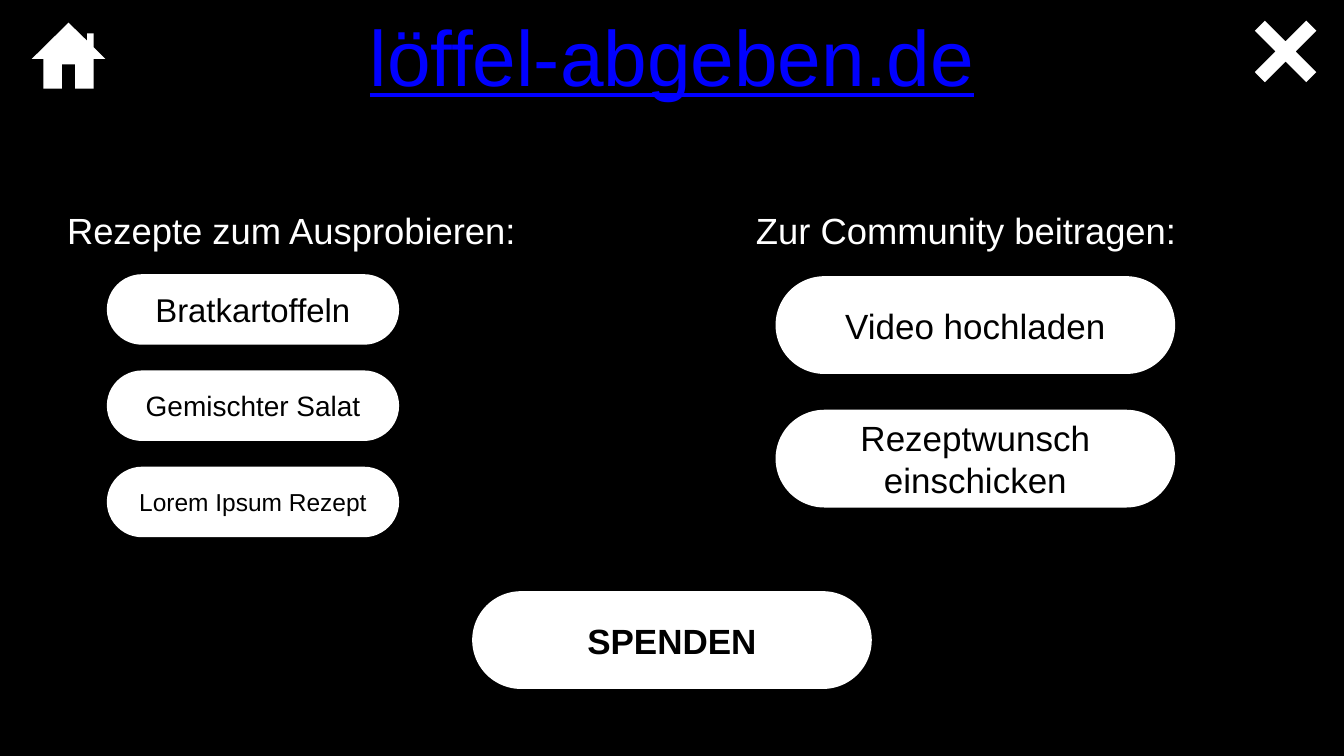
"""Build a dark start page with recipe and community buttons."""
from lxml import etree
from pptx import Presentation
from pptx.dml.color import RGBColor
from pptx.enum import shapes, text
from pptx.oxml import ns
from pptx.util import Inches, Pt

HOUSE = [(1.36, 0.45), (0.63, 1.17), (0.86, 1.17), (0.86, 1.76),
         (1.23, 1.76), (1.23, 1.28), (1.49, 1.28), (1.49, 1.76),
         (1.86, 1.76), (1.86, 1.17), (2.09, 1.17), (1.86, 0.94),
         (1.86, 0.66), (1.73, 0.66), (1.73, 0.81)]
FOODS = [("Bratkartoffeln", 47), ("Gemischter Salat", 40),
         ("Lorem Ipsum Rezept", 35)]
TASKS = ["Video hochladen", "Rezeptwunsch einschicken"]


def paint(fill, color):
    """Make a fill solid in a hex colour."""
    fill.solid()
    fill.fore_color.rgb = RGBColor.from_string(color)


def write(shape, words, size, color, align=text.PP_ALIGN.CENTER):
    """Put one vertically centred line of text into a shape."""
    frame = shape.text_frame
    frame.text = words
    frame.word_wrap = True
    frame.auto_size = text.MSO_AUTO_SIZE.NONE
    frame.vertical_anchor = text.MSO_ANCHOR.MIDDLE
    frame.margin_left = frame.margin_right = Inches(0.06)
    frame.margin_top = frame.margin_bottom = Inches(0.06)
    para = frame.paragraphs[0]
    para.alignment = align
    para.font.name = "Arial"
    para.font.size = Pt(size)
    paint(para.font.fill, color)
    return para


def place(shape, left, top, width, height):
    """Move and size a shape."""
    shape.left, shape.top = Inches(left), Inches(top)
    shape.width, shape.height = Inches(width), Inches(height)


def head(shape, left, words):
    """Format a body placeholder as a column heading without bullet."""
    place(shape, left, 3.19, 11.18, 2.74)
    para = write(shape, words, 52, "FFFFFF", text.PP_ALIGN.LEFT)
    para.space_before = Pt(45)
    props = para._p.get_or_add_pPr()
    props.set("marL", "0")
    props.set("indent", "0")
    bullet = etree.Element(ns.qn("a:buNone"))
    props.find(ns.qn("a:defRPr")).addprevious(bullet)


def plain(shape):
    """Give a shape a white fill without line or shadow."""
    paint(shape.fill, "FFFFFF")
    shape.line.fill.background()
    shape.shadow.inherit = False


def pill(slide, left, top, width, height, words, size):
    """Add a fully rounded button."""
    kind = shapes.MSO_SHAPE.ROUNDED_RECTANGLE
    shape = slide.shapes.add_shape(kind, 0, 0, 0, 0)
    place(shape, left, top, width, height)
    shape.adjustments[0] = 0.5
    plain(shape)
    return write(shape, words, size, "000000")


def icon(slide, points):
    """Add a white polygon."""
    spots = [(Inches(x), Inches(y)) for x, y in points]
    form = slide.shapes.build_freeform(*spots[0])
    form.add_line_segments(spots[1:])
    plain(form.convert_to_shape())


def cross(x, y, half, arm):
    """Return the corners of a diagonal cross around a centre."""
    gap = half - arm
    side = [(-gap, -half), (0, -arm), (gap, -half)]
    points = []
    for _ in range(4):
        points += [(x + a, y + b) for a, b in side]
        side = [(-b, a) for a, b in side]
    return points


def main():
    """Build and save the slide."""
    deck = Presentation()
    deck.slide_width, deck.slide_height = Inches(26.67), Inches(15)
    slide = deck.slides.add_slide(deck.slide_layouts[3])
    paint(slide.background.fill, "000000")
    title, left, right = slide.placeholders
    place(title, 1.85, -0.15, 22.97, 2.5)
    write(title, "löffel-abgeben.de", 112, "0000FF").font.underline = True
    head(left, 1.27, "Rezepte zum Ausprobieren:")
    head(right, 14.94, "Zur Community beitragen:")
    for row, (words, size) in enumerate(FOODS):
        pill(slide, 2.12, 5.44 + 1.91 * row, 5.8, 1.4, words, size)
    for row, words in enumerate(TASKS):
        pill(slide, 15.39, 5.48 + 2.65 * row, 7.93, 1.94, words, 50)
    give = pill(slide, 9.37, 11.73, 7.93, 1.94, "SPENDEN", 50)
    give.font.bold = True
    icon(slide, HOUSE)
    icon(slide, cross(25.51, 1.02, 0.61, 0.2))
    deck.save("out.pptx")


if __name__ == "__main__":
    main()
